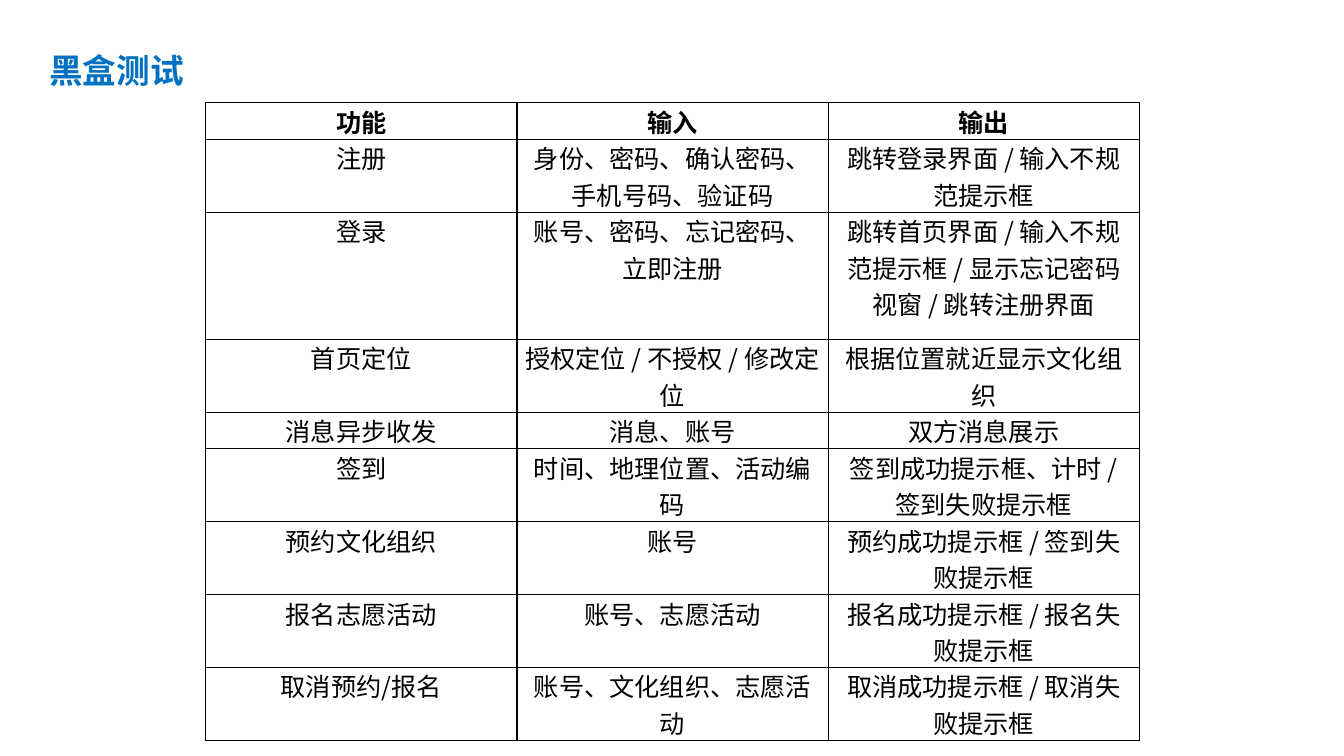
from lxml.etree import SubElement
from pptx import Presentation
from pptx.dml.color import RGBColor
from pptx.enum.shapes import MSO_SHAPE
from pptx.enum.text import MSO_ANCHOR, PP_ALIGN
from pptx.oxml.ns import qn
from pptx.util import Inches, Pt

FONT = "Noto Sans CJK SC"
COLORS = {"title": "0070C0", "text": "000000", "paper": "FFFFFF", "border": "080000"}
ROW_HEIGHTS = [0.35, 0.7, 1.26, 0.7, 0.35, 0.7, 0.7, 0.7, 0.7]
TESTS = [
    ("功能", "输入", "输出"),
    ("注册", "身份、密码、确认密码、手机号码、验证码", "跳转登录界面 / 输入不规范提示框"),
    ("登录", "账号、密码、忘记密码、立即注册",
     "跳转首页界面 / 输入不规范提示框 / 显示忘记密码视窗 / 跳转注册界面"),
    ("首页定位", "授权定位 / 不授权 / 修改定位", "根据位置就近显示文化组织"),
    ("消息异步收发", "消息、账号", "双方消息展示"),
    ("签到", "时间、地理位置、活动编码", "签到成功提示框、计时 / 签到失败提示框"),
    ("预约文化组织", "账号", "预约成功提示框 / 签到失败提示框"),
    ("报名志愿活动", "账号、志愿活动", "报名成功提示框 / 报名失败提示框"),
    ("取消预约/报名", "账号、文化组织、志愿活动", "取消成功提示框 / 取消失败提示框"),
]


def rgb(name):
    """Return the named colour."""
    return RGBColor.from_string(COLORS[name])


def add_run(p, text, size, color, bold):
    """Add a run in the slide font, for Latin and East Asian text."""
    r = p.add_run()
    r.text = text
    r.font.size = Pt(size)
    r.font.bold = bold
    r.font.color.rgb = rgb(color)
    r.font.name = FONT
    SubElement(r.font._element, qn("a:ea"), typeface=FONT)


def add_borders(cell):
    """Draw a thin line on the four sides of a cell."""
    tc_pr = cell._tc.get_or_add_tcPr()
    for i, side in enumerate(("lnL", "lnR", "lnT", "lnB")):
        ln = SubElement(tc_pr, qn(f"a:{side}"), w=str(Pt(1)))
        fill = SubElement(ln, qn("a:solidFill"))
        SubElement(fill, qn("a:srgbClr"), val=COLORS["border"])
        tc_pr.insert(i, ln)


def add_title(slide, left, top, width, height):
    """Place the heading on its white box."""
    sp = slide.shapes.add_shape(MSO_SHAPE.RECTANGLE, left, top, width, height)
    sp.shadow.inherit = False
    sp.fill.solid()
    sp.fill.fore_color.rgb = rgb("paper")
    sp.line.fill.background()
    tf = sp.text_frame
    tf.word_wrap = True
    tf.vertical_anchor = MSO_ANCHOR.TOP
    p = tf.paragraphs[0]
    p.alignment = PP_ALIGN.LEFT
    add_run(p, "黑盒测试", 24, "title", True)


def add_test_table(slide, left, top, width, height):
    """Place the table of test cases, three equal columns wide."""
    cols = len(TESTS[0])
    table = slide.shapes.add_table(len(TESTS), cols, left, top, width, height).table
    table.horz_banding = False
    for col in table.columns:
        col.width = int(width / cols)
    for i, (row, row_height) in enumerate(zip(TESTS, ROW_HEIGHTS)):
        table.rows[i].height = Inches(row_height)
        for j, text in enumerate(row):
            cell = table.cell(i, j)
            cell.fill.background()
            cell.margin_left = cell.margin_right = Inches(0.07)
            cell.margin_top = cell.margin_bottom = 0
            add_borders(cell)
            p = cell.text_frame.paragraphs[0]
            p.alignment = PP_ALIGN.CENTER
            add_run(p, text, 18, "text", i == 0)


def main():
    """Build and save the slide."""
    prs = Presentation()
    prs.slide_width, prs.slide_height = Inches(13.33), Inches(7.5)
    slide = prs.slides.add_slide(prs.slide_layouts[6])
    add_title(slide, Inches(0.39), Inches(0.45), Inches(6.19), Inches(0.73))
    add_test_table(slide, Inches(2.04), Inches(1.02), Inches(9.26), Inches(sum(ROW_HEIGHTS)))
    prs.save("out.pptx")


if __name__ == "__main__":
    main()
